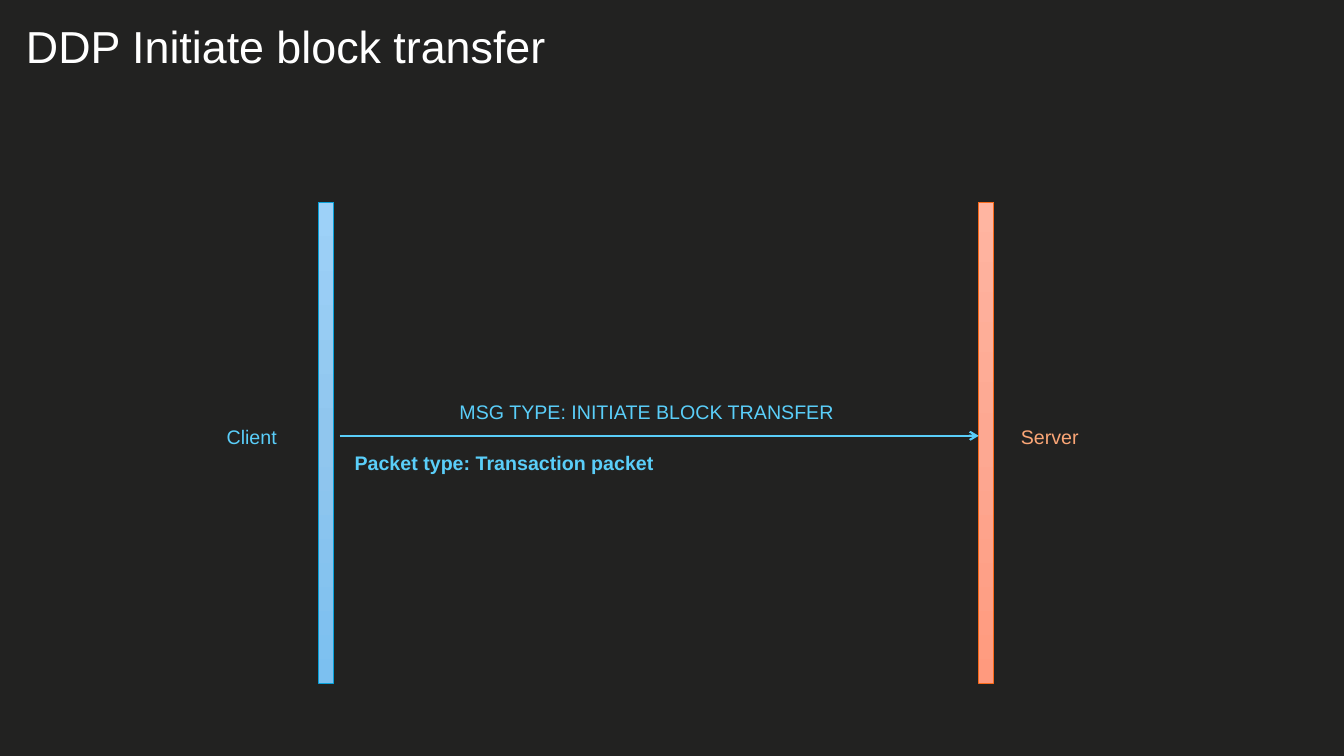
from copy import deepcopy

from lxml.etree import SubElement
from pptx import Presentation
from pptx.dml.color import RGBColor as RGB
from pptx.enum.shapes import MSO_CONNECTOR as LINK, MSO_SHAPE as SHAPE
from pptx.oxml.ns import qn
from pptx.util import Pt

FONT = "Arial"
HUES = {
    "back": "222221", "title": "FFFFFF",
    "client": "5ACEF9", "client_edge": "08A1D9",
    "client_top": "9DD1F8", "client_mid": "90C6EE", "client_end": "7CC0F0",
    "server": "FBA676", "server_edge": "F96A1B",
    "server_top": "FFB5A1", "server_mid": "FDA892", "server_end": "FF9A7E",
}
BAR = 10.8  # width of a lifeline
ROW = 24.5  # height of a label


def hue(name):
    return RGB.from_string(HUES[name])


def label(slide, text, box, tint, size=14, bold=False):
    frame = slide.shapes.add_textbox(*map(Pt, box)).text_frame
    frame.word_wrap = True
    frame.text = text
    font = frame.paragraphs[0].runs[0].font
    font.name, font.size, font.bold = FONT, Pt(size), bold
    font.color.rgb = hue(tint)


def lifeline(slide, box, role):
    bar = slide.shapes.add_shape(SHAPE.RECTANGLE, *map(Pt, box))
    bar.shadow.inherit = False
    bar.line.color.rgb = hue(role + "_edge")
    bar.line.width = Pt(0.5)
    # Vertical gradient with a third, middle stop
    fill = bar.fill
    fill.gradient()
    fill.gradient_angle = 270
    stops = bar._element.spPr.find(".//" + qn("a:gsLst"))
    stops.insert(1, deepcopy(stops[0]))
    parts = zip(fill.gradient_stops, ("top", "mid", "end"), (0, 0.5, 1))
    for stop, part, place in parts:
        stop.color.rgb = hue(f"{role}_{part}")
        stop.position = place


def arrow(slide, start, end, y, tint):
    link = slide.shapes.add_connector(
        LINK.STRAIGHT, Pt(start), Pt(y), Pt(end), Pt(y))
    link.line.color.rgb = hue(tint)
    link.line.width = Pt(1.5)
    SubElement(link.line._get_or_add_ln(), qn("a:tailEnd"), type="arrow")
    SubElement(link._element.spPr, qn("a:effectLst"))


def header(slide, box):
    label(slide, "DDP Initiate block transfer", box, "title", 32)


def sequence(slide, box):
    left, top, width, height = box
    right = left + width - BAR
    mid = top + 167

    # Lifelines
    for x, role in ((left, "client"), (right, "server")):
        lifeline(slide, (x, top, BAR, height), role)

    # Message
    arrow(slide, left + 15.1, right, mid, "client")
    label(slide, "MSG TYPE: INITIATE BLOCK TRANSFER",
          (left + 93.6, mid - 29.5, 300, ROW), "client")
    label(slide, "Packet type: Transaction packet",
          (left + 18.7, mid + 7.2, 453, ROW), "client", bold=True)

    # Names of the two ends
    row = mid - 11.5
    label(slide, "Client", (left - 72.7, row, 57, ROW), "client")
    label(slide, "Server", (right + 23, row, 62, ROW), "server")


def main():
    deck = Presentation()
    deck.slide_width, deck.slide_height = Pt(960), Pt(540)
    slide = deck.slides.add_slide(deck.slide_layouts[6])
    fill = slide.background.fill
    fill.solid()
    fill.fore_color.rgb = hue("back")
    header(slide, (11.5, 10.1, 936, 46))
    sequence(slide, (227.5, 144.3, 482.4, 343.7))
    deck.save("out.pptx")


if __name__ == "__main__":
    main()
